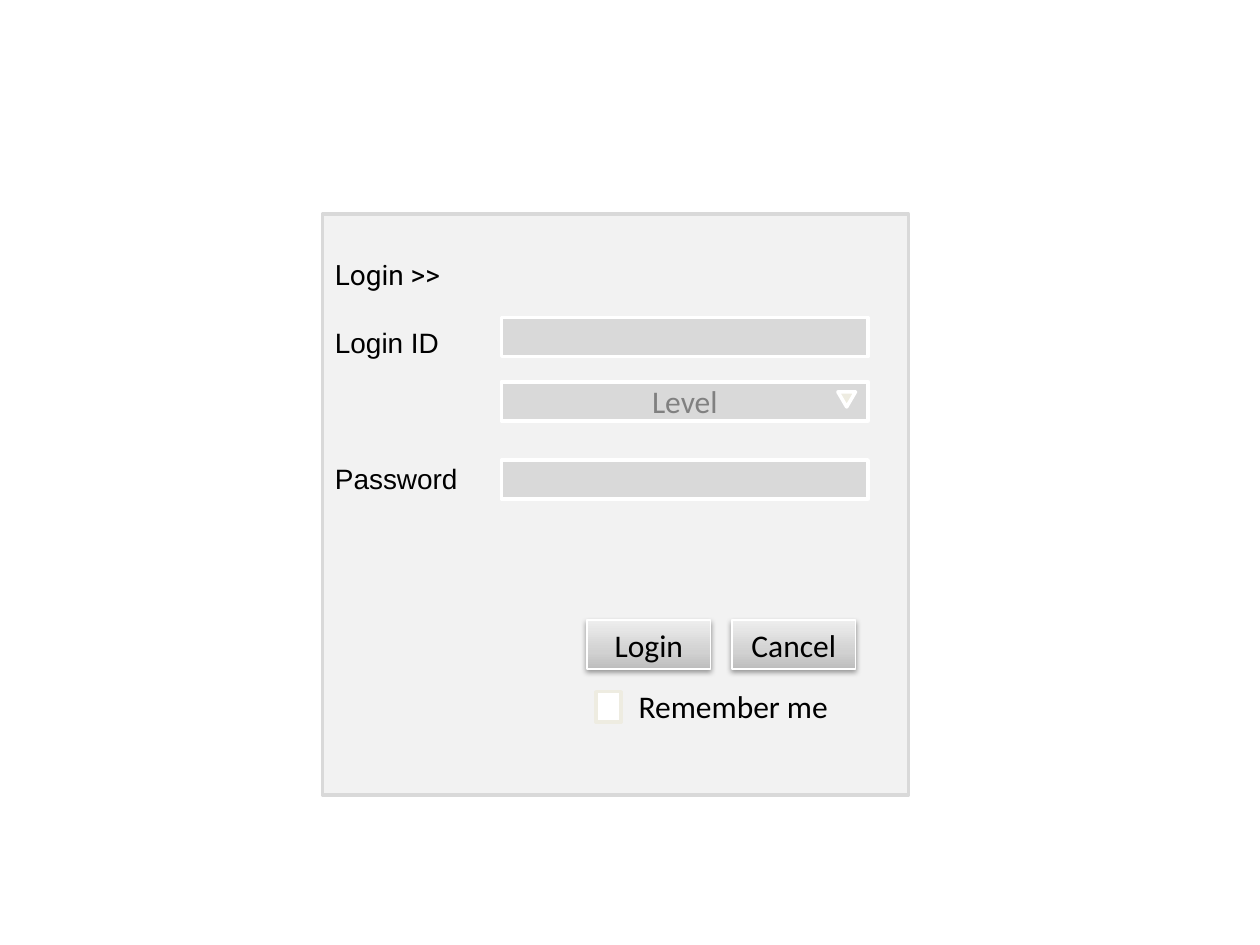
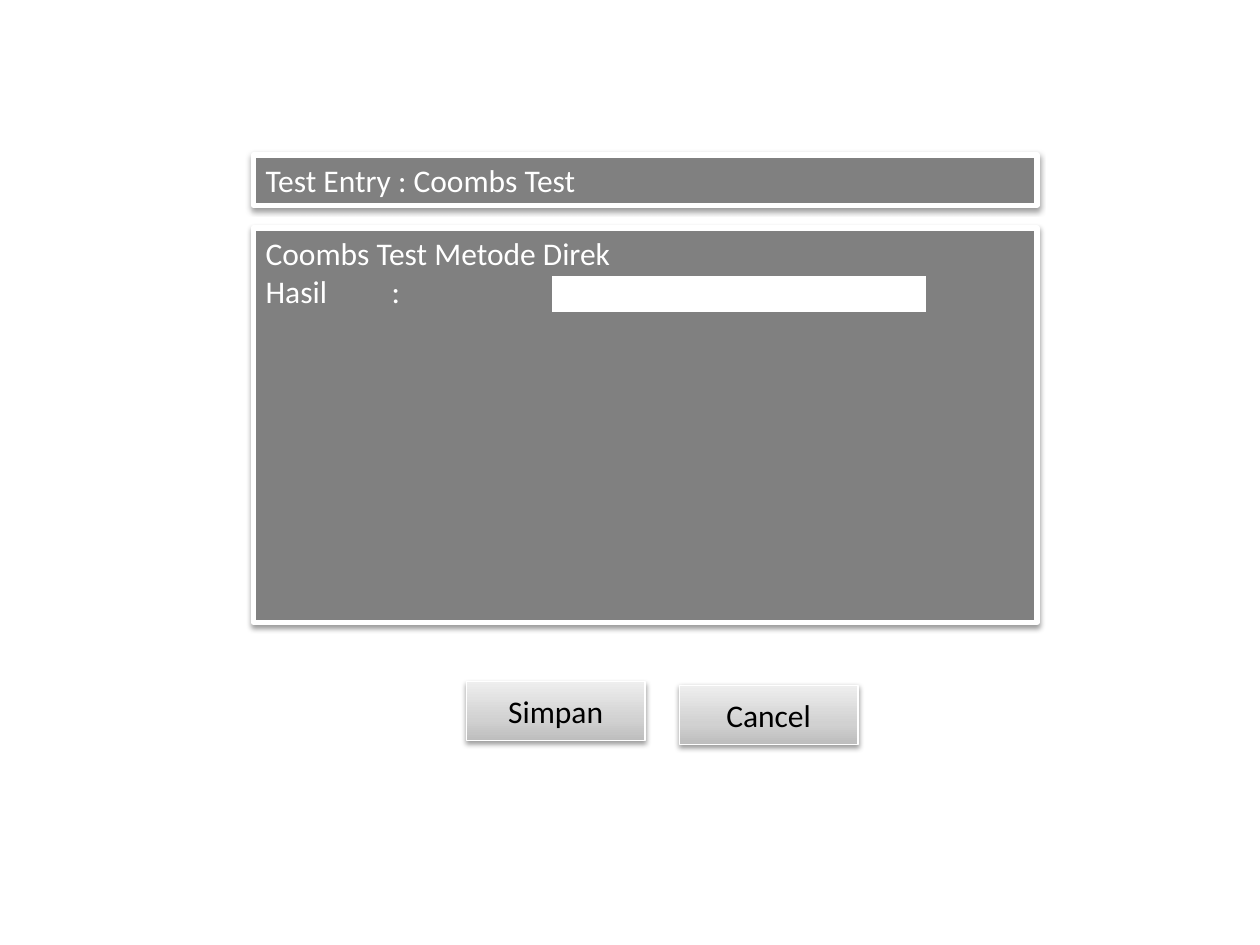
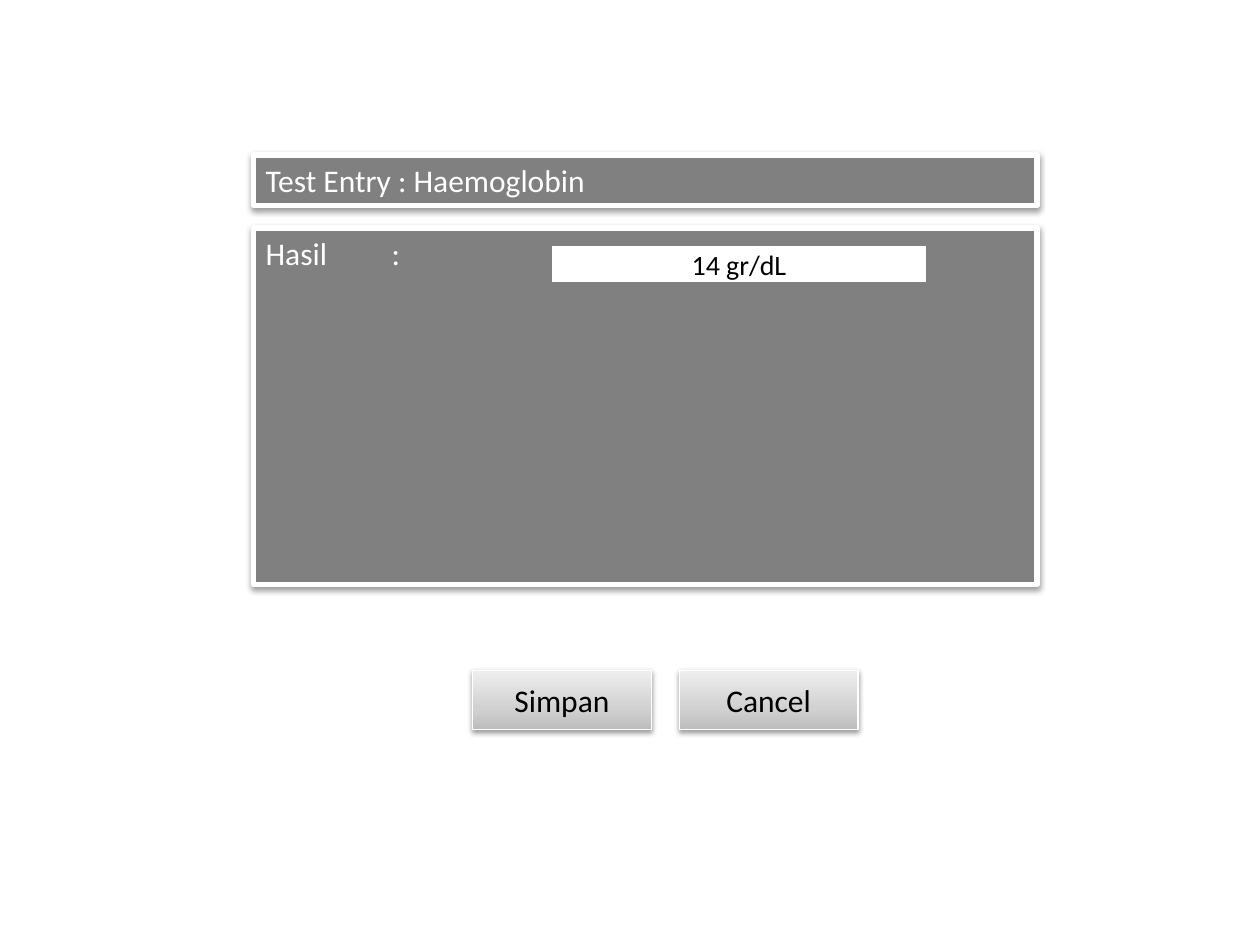
from dataclasses import dataclass

import lxml.etree
import copy
import pptx
import pptx.dml.color
import pptx.enum.shapes
import pptx.enum.text
import pptx.oxml.ns
import pptx.shapes.autoshape
import pptx.slide
import pptx.util

RGB = pptx.dml.color.RGBColor
BLACK = RGB(0x00, 0x00, 0x00)
WHITE = RGB(0xFF, 0xFF, 0xFF)
GREY = RGB(0x80, 0x80, 0x80)
FIELD_GREY = RGB(0xD9, 0xD9, 0xD9)
DIALOG_GREY = RGB(0xF2, 0xF2, 0xF2)
CREAM = RGB(0xEE, 0xEC, 0xE1)
BUTTON_STOPS = (
    (0.0, RGB(0xBD, 0xBD, 0xBD)),
    (0.35, RGB(0xD1, 0xD1, 0xD1)),
    (1.0, RGB(0xEE, 0xEE, 0xEE)),
)

PRESET = pptx.enum.shapes.MSO_SHAPE
ALIGN = pptx.enum.text.PP_ALIGN
ANCHOR = pptx.enum.text.MSO_ANCHOR
Shape = pptx.shapes.autoshape.Shape
Slide = pptx.slide.Slide
qn = pptx.oxml.ns.qn

SLIDE_WIDTH = pptx.util.Inches(10)
SLIDE_HEIGHT = pptx.util.Inches(7.5)
COLUMNS, ROWS = 100, 75
BODY_FONT = "Calibri"

FIELD_LEFT, FIELD_WIDTH, FIELD_HEIGHT = 39.8, 29.1, 3.1
ENTRY_LEFT, ENTRY_WIDTH = 20.1, 62.2


@dataclass(frozen=True)
class Box:
    """A place on the slide grid."""
    column: float
    row: float
    columns: float
    rows: float

    def lengths(self) -> tuple[int, int, int, int]:
        across, down = SLIDE_WIDTH / COLUMNS, SLIDE_HEIGHT / ROWS
        return (round(self.column * across), round(self.row * down),
                round(self.columns * across), round(self.rows * down))


@dataclass(frozen=True)
class Button:
    label: str
    box: Box


@dataclass(frozen=True)
class DialogLine:
    text: str
    font: str
    space_before: float


@dataclass(frozen=True)
class TestEntry:
    title: str
    lines: tuple[str, ...]
    panel_rows: float
    result: str
    result_row: float
    buttons: tuple[Button, ...]


DIALOG_LINES = (
    DialogLine("Login >>", "Roboto", 0),
    DialogLine("Login ID", "Arial", 20),
    DialogLine("Password", "Arial", 58.5),
)
LOGIN_BUTTONS = tuple(
    Button(label, Box(46.6 + 11.5 * place, 49.2, 9.8, 3.9))
    for place, label in enumerate(("Login", "Cancel"))
)


def entry_button(label: str, column: float, row: float) -> Button:
    return Button(label, Box(column, row, 14.2, 4.7))


TEST_ENTRIES = (
    TestEntry("Test Entry : Coombs Test",
              ("Coombs Test Metode Direk", "Hasil\t\t:"), 31.3, "", 21.8,
              (entry_button("Simpan", 37, 54.1), entry_button("Cancel", 53.9, 54.4))),
    TestEntry("Test Entry : Haemoglobin",
              ("Hasil\t\t:",), 28.3, "14 gr/dL", 19.4,
              (entry_button("Simpan", 37.5, 53.2), entry_button("Cancel", 53.9, 53.2))),
)


def add_box(slide: Slide, box: Box, fill: RGB, line: RGB, line_width: float = 2,
            preset: PRESET = PRESET.RECTANGLE) -> Shape:
    shape = slide.shapes.add_shape(preset, *box.lengths())
    shape.shadow.inherit = False
    shape.fill.solid()
    shape.fill.fore_color.rgb = fill
    shape.line.color.rgb = line
    shape.line.width = pptx.util.Pt(line_width)
    return shape


def write(shape: Shape, text: str, color: RGB = BLACK, size: float = 18,
          align: ALIGN = ALIGN.CENTER, anchor: ANCHOR = ANCHOR.MIDDLE) -> None:
    frame = shape.text_frame
    frame.text = text
    frame.word_wrap = True
    frame.vertical_anchor = anchor
    for paragraph in frame.paragraphs:
        paragraph.alignment = align
        for run in paragraph.runs:
            run.font.name = BODY_FONT
            run.font.size = pptx.util.Pt(size)
            run.font.color.rgb = color


def cast_shadow(shape: Shape) -> None:
    """Fill the shape's empty effect list with a soft shadow below it."""
    effects = shape.element.spPr.find(qn("a:effectLst"))
    shadow = lxml.etree.SubElement(
        effects, qn("a:outerShdw"), blurRad="40000", dist="20000",
        dir="5400000", rotWithShape="0")
    color = lxml.etree.SubElement(shadow, qn("a:srgbClr"), val=str(BLACK))
    lxml.etree.SubElement(color, qn("a:alpha"), val="38000")


def shade_upwards(shape: Shape) -> None:
    """Give the shape the three-stop button gradient, darkest at the bottom."""
    shape.fill.gradient()
    shape.fill.gradient_angle = 90
    stop_list = shape.element.spPr.find(qn("a:gradFill")).find(qn("a:gsLst"))
    stop_list.append(copy.deepcopy(stop_list[-1]))
    for stop, (position, color) in zip(shape.fill.gradient_stops, BUTTON_STOPS):
        stop.position = position
        stop.color.rgb = color


def add_button(slide: Slide, button: Button) -> None:
    shape = add_box(slide, button.box, FIELD_GREY, WHITE, 0.75)
    shade_upwards(shape)
    cast_shadow(shape)
    write(shape, button.label)


def add_entry_panel(slide: Slide, row: float, rows: float, text: str) -> None:
    panel = add_box(slide, Box(ENTRY_LEFT, row, ENTRY_WIDTH, rows), GREY, WHITE, 3)
    cast_shadow(panel)
    write(panel, text, WHITE, align=ALIGN.LEFT, anchor=ANCHOR.TOP)


def add_login_field(slide: Slide, row: float) -> Shape:
    return add_box(slide, Box(FIELD_LEFT, row, FIELD_WIDTH, FIELD_HEIGHT),
                   FIELD_GREY, WHITE)


def build_login(slide: Slide) -> None:
    dialog = add_box(slide, Box(25.6, 17, 46.5, 46.1), DIALOG_GREY, FIELD_GREY)
    write(dialog, "\n".join(line.text for line in DIALOG_LINES), size=16,
          align=ALIGN.LEFT, anchor=ANCHOR.TOP)
    dialog.text_frame.margin_top = pptx.util.Inches(0.34)
    for paragraph, line in zip(dialog.text_frame.paragraphs, DIALOG_LINES):
        paragraph.space_before = pptx.util.Pt(line.space_before)
        paragraph.runs[0].font.name = line.font

    for row in (25.2, 36.5):
        add_login_field(slide, row)
    for button in LOGIN_BUTTONS:
        add_button(slide, button)

    add_box(slide, Box(47.3, 54.9, 2, 2.4), WHITE, CREAM)
    remember = slide.shapes.add_textbox(*Box(49.7, 54, 18.2, 4).lengths())
    write(remember, "Remember me", align=ALIGN.LEFT, anchor=ANCHOR.TOP)

    level = add_login_field(slide, 30.3)
    write(level, "Level", GREY)
    add_box(slide, Box(66.5, 31.1, 1.4, 1.2), CREAM, WHITE,
            preset=PRESET.FLOWCHART_MERGE)


def build_test_entry(slide: Slide, entry: TestEntry) -> None:
    add_entry_panel(slide, 12.3, 4, entry.title)
    add_entry_panel(slide, 18.1, entry.panel_rows, "\n".join(entry.lines))
    result = add_box(slide, Box(43.7, entry.result_row, 29.9, FIELD_HEIGHT), WHITE, GREY)
    if entry.result:
        write(result, entry.result, size=16)
    for button in entry.buttons:
        add_button(slide, button)


def main() -> None:
    deck = pptx.Presentation()
    deck.slide_width, deck.slide_height = SLIDE_WIDTH, SLIDE_HEIGHT
    blank = deck.slide_layouts[6]
    build_login(deck.slides.add_slide(blank))
    for entry in TEST_ENTRIES:
        build_test_entry(deck.slides.add_slide(blank), entry)
    deck.save("out.pptx")


if __name__ == "__main__":
    main()
